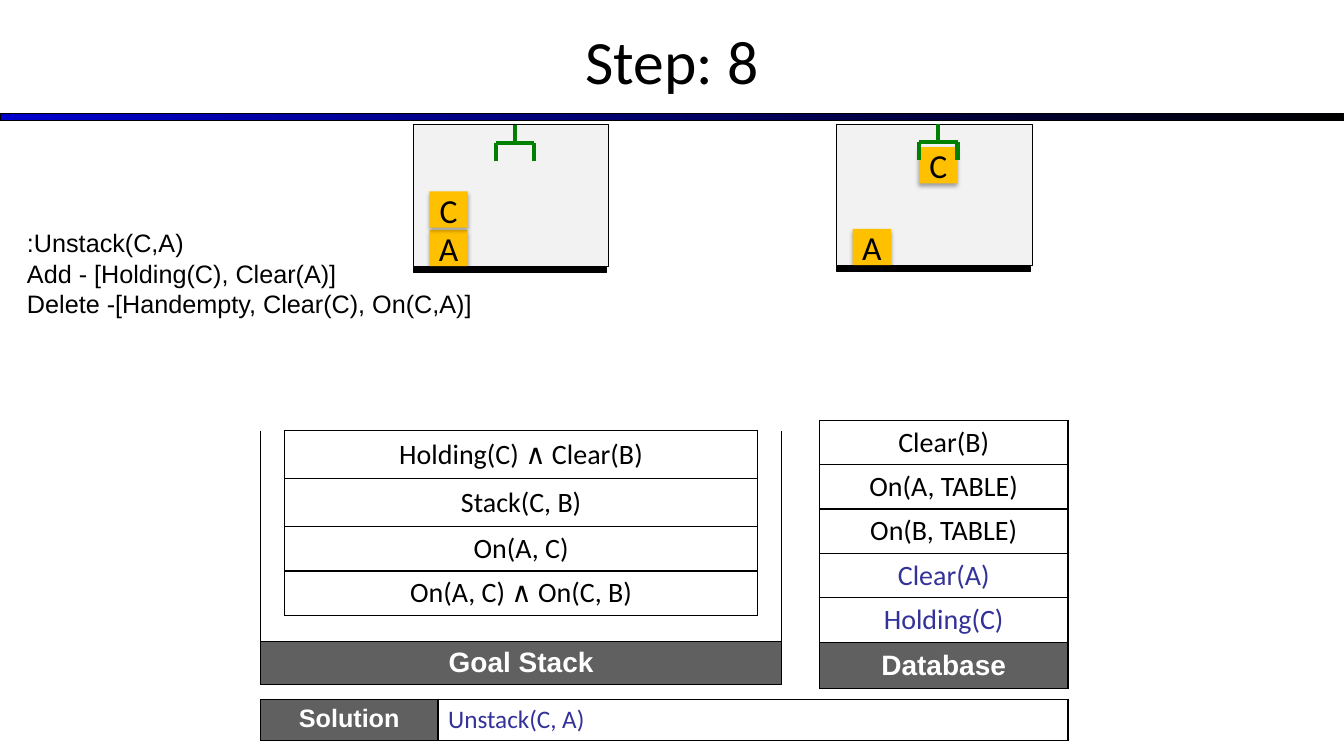
from lxml import etree
from pptx import Presentation
from pptx.dml.color import RGBColor
from pptx.enum.shapes import MSO_CONNECTOR, MSO_SHAPE
from pptx.enum.text import MSO_ANCHOR, PP_ALIGN
from pptx.oxml.ns import qn
from pptx.util import Pt

RECT = MSO_SHAPE.RECTANGLE
STRAIGHT = MSO_CONNECTOR.STRAIGHT
MIDDLE, TOP = MSO_ANCHOR.MIDDLE, MSO_ANCHOR.TOP
CENTER, LEFT = PP_ALIGN.CENTER, PP_ALIGN.LEFT

COLORS = {
    "black": "000000",
    "white": "FFFFFF",
    "blue": "0000CC",
    "new": "333299",
    "header": "606060",
    "scene": "F2F2F2",
    "block": "FFC000",
    "gripper": "008000",
}

STYLES = {
    "title": ({"name": "Calibri", "size": Pt(44), "bold": False}, "black"),
    "fact": ({"name": "Calibri", "size": Pt(20), "bold": False}, "black"),
    "new fact": ({"name": "Calibri", "size": Pt(20), "bold": False}, "new"),
    "header": ({"name": "Arial", "size": Pt(20), "bold": True}, "white"),
    "solution header": ({"name": "Arial", "size": Pt(18), "bold": True}, "white"),
    "action": ({"name": "Calibri", "size": Pt(18), "bold": False}, "new"),
    "effects": ({"name": "Arial", "size": Pt(18), "bold": False}, "black"),
    "block": ({"name": "Calibri", "size": Pt(24), "bold": False}, "black"),
}


def rgb(name):
    return RGBColor.from_string(COLORS[name])


def add_xml(parent, tag, **attributes):
    return etree.SubElement(parent, qn(tag), attributes)


class StepSlide:
    def __init__(self, slide):
        self.slide = slide
        self.target = slide.shapes

    def label(self, paragraph, text, style, align=CENTER):
        font_format, color = STYLES[style]
        paragraph.alignment = align
        run = paragraph.add_run()
        run.text = text
        for name, value in font_format.items():
            setattr(run.font, name, value)
        run.font.color.rgb = rgb(color)

    def title(self, text, *box):
        heading = self.slide.shapes.title
        for name, value in zip(("left", "top", "width", "height"), box):
            setattr(heading, name, Pt(value))
        heading.text_frame.vertical_anchor = MIDDLE
        self.label(heading.text_frame.paragraphs[0], text, "title")

    def rectangle(self, color, *box, outline=True):
        shape = self.target.add_shape(RECT, *map(Pt, box))
        shape.shadow.inherit = False
        shape.fill.solid()
        shape.fill.fore_color.rgb = rgb(color)
        if outline:
            shape.line.color.rgb = rgb("black")
            shape.line.width = Pt(0.75)
        else:
            shape.line.fill.background()
        return shape

    def gradient_bar(self, *box):
        bar = self.rectangle("blue", *box)
        bar.fill.gradient()
        bar.fill.gradient_angle = 0
        for stop, color in zip(bar.fill.gradient_stops, ("blue", "black")):
            stop.color.rgb = rgb(color)

    def block(self, letter, left, top):
        block = self.rectangle("block", left, top, 27.4, 25.9, outline=False)
        effects = block._element.spPr.find(qn("a:effectLst"))
        shadow = add_xml(effects, "a:outerShdw", blurRad=str(Pt(3.1)),
                         dist=str(Pt(1.8)), dir="5400000", rotWithShape="0")
        shade = add_xml(shadow, "a:srgbClr", val=COLORS["black"])
        add_xml(shade, "a:alpha", val="35000")
        block.text_frame.word_wrap = False
        block.text_frame.vertical_anchor = MIDDLE
        self.label(block.text_frame.paragraphs[0], letter, "block")

    def line(self, *ends):
        line = self.target.add_connector(STRAIGHT, *map(Pt, ends))
        line.line.color.rgb = rgb("gripper")
        line.line.width = Pt(3)
        add_xml(line._element.spPr, "a:effectLst")

    def scene(self, left, top, blocks):
        self.target = self.slide.shapes.add_group_shape().shapes
        self.rectangle("scene", left, top, 139.7, 100.8)
        self.rectangle("black", left, top + 101.5, 138.3, 3.6)
        for letter, x, y in blocks:
            self.block(letter, left + x, top + y)
        claw_left, stem, claw_right = (left + x for x in (59, 72.7, 86.4))
        palm, tip = top + 13, top + 26
        self.line(claw_left, palm, claw_right, palm)
        self.line(claw_left, palm, claw_left, tip)
        self.line(stem, top, stem, palm)
        self.line(claw_right, palm, claw_right, tip)
        self.target = self.slide.shapes

    def text(self, lines, *box):
        frame = self.target.add_textbox(*map(Pt, box)).text_frame
        frame.word_wrap = True
        for index, line in enumerate(lines):
            paragraph = frame.add_paragraph() if index else frame.paragraphs[0]
            self.label(paragraph, line, "effects", LEFT)
        frame.paragraphs[0].line_spacing = 0.88

    def borders(self, cell, edges):
        properties = cell._tc.get_or_add_tcPr()
        for index, edge in enumerate("LRTB"):
            border = etree.Element(qn(f"a:ln{edge}"), w=str(Pt(1)))
            if edge in edges:
                ink = add_xml(border, "a:solidFill")
                add_xml(ink, "a:srgbClr", val=COLORS["black"])
            else:
                add_xml(border, "a:noFill")
            properties.insert(index, border)

    def table(self, left, top, widths, heights, rows, anchor=MIDDLE, aligns=None):
        table = self.target.add_table(
            len(heights), len(widths), Pt(left), Pt(top),
            Pt(sum(widths)), Pt(sum(heights))).table
        table.first_row = table.horz_banding = False
        for column, width in zip(table.columns, widths):
            column.width = Pt(width)
        for row, height, contents in zip(table.rows, heights, rows):
            row.height = Pt(height)
            for index, (cell, (text, style, edges)) in enumerate(zip(row.cells, contents)):
                cell.vertical_anchor = anchor
                if "header" in style:
                    cell.fill.solid()
                    cell.fill.fore_color.rgb = rgb("header")
                else:
                    cell.fill.background()
                self.borders(cell, edges)
                paragraph = cell.text_frame.paragraphs[0]
                if text:
                    align = aligns[index] if aligns else CENTER
                    self.label(paragraph, text, style, align)
                else:
                    add_xml(paragraph._p, "a:endParaRPr", sz="800")


def main():
    deck = Presentation()
    deck.slide_width, deck.slide_height = Pt(960), Pt(540)
    step = StepSlide(deck.slides.add_slide(deck.slide_layouts[5]))
    step.gradient_bar(0, 81.4, 960, 5)
    step.title("Step: 8", 0, -2.2, 960, 90)

    goals = ["Holding(C) ∧ Clear(B)", "Stack(C, B)", "On(A, C)", "On(A, C) ∧ On(C, B)"]
    side = ("", "fact", "LR")
    goal_rows = [
        [("", "fact", "")] * 3,
        [("", "fact", ""), ("", "fact", "B"), ("", "fact", "")],
        *([side, (goal, "fact", "LRTB"), side] for goal in goals),
        [("", "fact", "LB"), ("", "fact", "TB"), ("", "fact", "RB")],
        [("", "header", "LTB"), ("Goal Stack", "header", "TB"), ("", "header", "RTB")],
    ]
    step.table(186, 238.9, [16.8, 338, 16.8],
               [34.3] * 4 + [31.6] * 2 + [18.6, 30.6], goal_rows)

    database = [("Clear(B)", "fact"), ("On(A, TABLE)", "fact"), ("On(B, TABLE)", "fact"),
                ("Clear(A)", "new fact"), ("Holding(C)", "new fact"), ("Database", "header")]
    step.table(585.3, 268.6, [177.6], [31.6] * 6 + [33],
               [[("", "fact", "B")]] + [[(*entry, "LRTB")] for entry in database])

    step.table(186, 499.4, [126.9, 450], [29.6],
               [[("Solution", "solution header", "LRTB"), ("Unstack(C, A)", "action", "LRTB")]],
               TOP, [CENTER, LEFT])

    step.text([":Unstack(C,A)", "Add - [Holding(C), Clear(A)]",
               "Delete -[Handempty, Clear(C), On(C,A)]"], 12.2, 162, 382.3, 69.8)
    step.scene(295.2, 89.3, [("A", 11.5, 75), ("C", 11.5, 47.5)])
    step.scene(597.6, 88.6, [("A", 11.5, 75), ("C", 59, 16.6)])
    deck.save("out.pptx")


if __name__ == "__main__":
    main()
